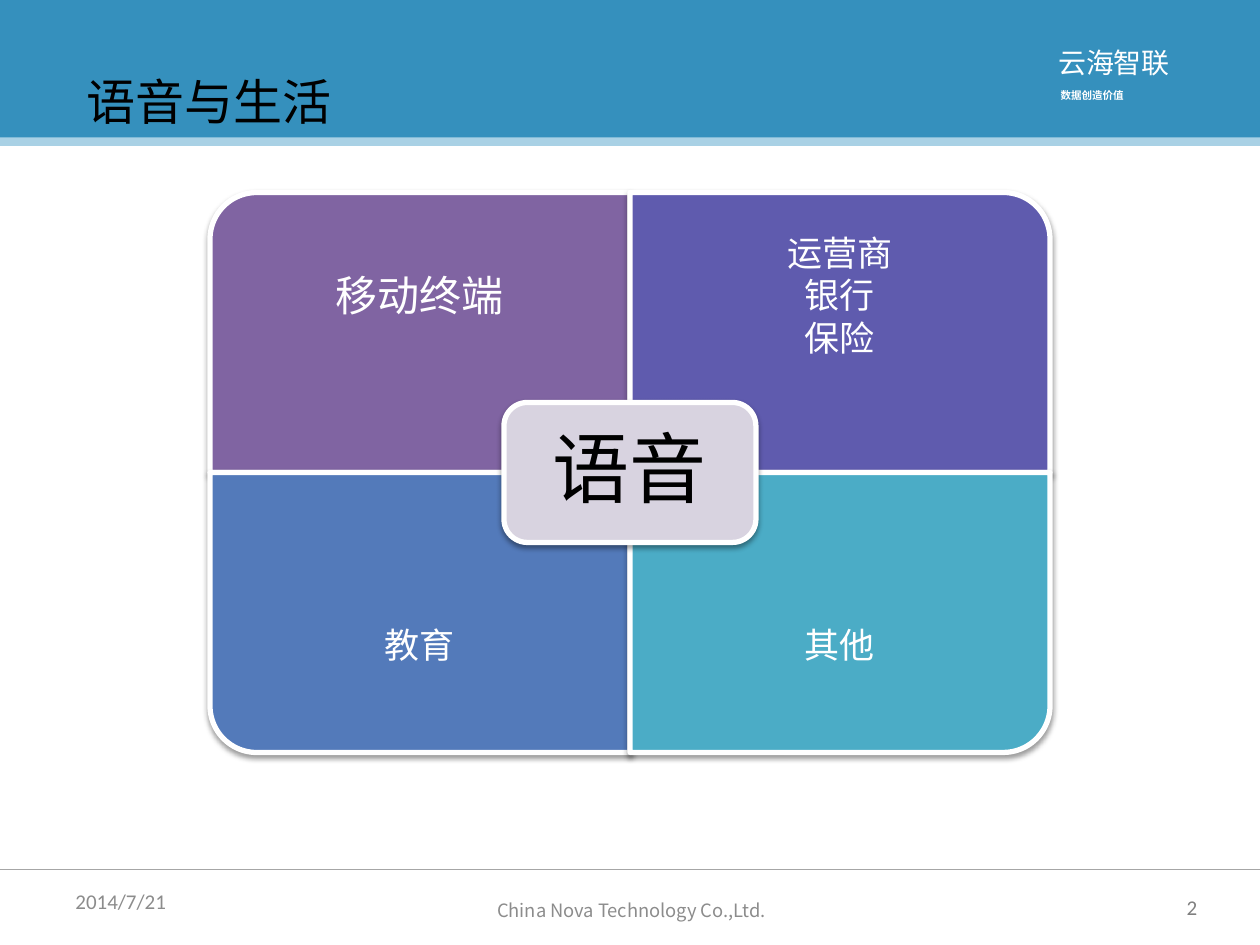
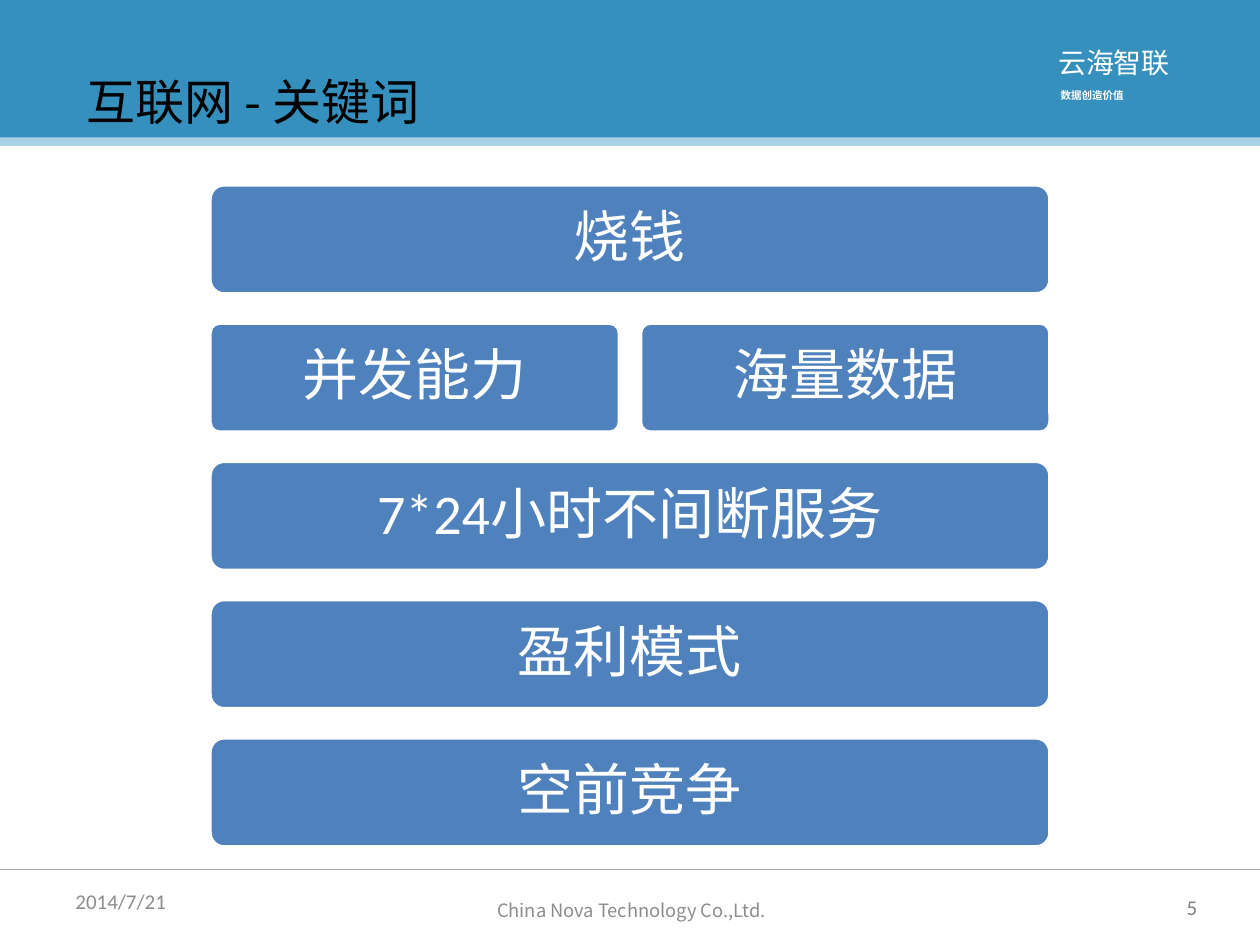
from lxml import etree
from pptx import Presentation
from pptx.dml.color import RGBColor
from pptx.enum.shapes import MSO_CONNECTOR, MSO_SHAPE
from pptx.enum.text import MSO_ANCHOR, PP_ALIGN
from pptx.oxml.ns import qn
from pptx.util import Pt

RECTANGLE = MSO_SHAPE.RECTANGLE
ROUNDED = MSO_SHAPE.ROUNDED_RECTANGLE
ONE_ROUND_CORNER = MSO_SHAPE.ROUND_1_RECTANGLE
STRAIGHT = MSO_CONNECTOR.STRAIGHT
LEFT, CENTER = PP_ALIGN.LEFT, PP_ALIGN.CENTER
TOP, MIDDLE = MSO_ANCHOR.TOP, MSO_ANCHOR.MIDDLE

WIDTH, HEIGHT = 720, 540
LATIN_FONT, CHINESE_FONT = "Calibri", "Noto Sans CJK SC"
COLORS = {
    "band": "3590BD",
    "stripe": "A9D1E5",
    "rule": "A6A6A6",
    "footer": "8C8C8C",
    "number": "808080",
    "white": "FFFFFF",
    "black": "000000",
    "purple": "8064A2",
    "indigo": "5F5BAE",
    "blue": "537ABA",
    "teal": "4BACC6",
    "hub": "D8D3E0",
    "bar": "4F81BD",
}

CONTENT_LEFT = 120
CONTENT_WIDTH = 480


def rgb(name):
    return RGBColor.from_string(COLORS[name])


def write_text(shape, text, size=12, color="white", font=LATIN_FONT, bold=False,
               align=LEFT, anchor=TOP, inset=None, wrap=True,
               line_spacing=None, space_after=None):
    """Fill a shape with text, one paragraph per line of the text."""
    frame = shape.text_frame
    frame.word_wrap = wrap
    frame.vertical_anchor = anchor
    if inset is not None:
        frame.margin_left = frame.margin_right = Pt(inset)
        frame.margin_top = frame.margin_bottom = Pt(inset)
    frame.text = text
    for paragraph in frame.paragraphs:
        paragraph.alignment = align
        if line_spacing:
            paragraph.line_spacing = line_spacing
        if space_after:
            paragraph.space_after = Pt(space_after)
        for run in paragraph.runs:
            run.font.size = Pt(size)
            run.font.bold = bold
            run.font.name = font
            run.font.color.rgb = rgb(color)
            east_asian = etree.SubElement(run.font._element, qn("a:ea"))
            east_asian.set("typeface", CHINESE_FONT)


def add_text(slide, text, left, top, width, height, **text_format):
    box = slide.shapes.add_textbox(Pt(left), Pt(top), Pt(width), Pt(height))
    write_text(box, text, **text_format)


def write_diagram_text(shape, text, size, inset):
    write_text(shape, text, size=size, inset=inset, align=CENTER, anchor=MIDDLE,
               line_spacing=0.9, space_after=2.5)


def add_panel(slide, kind, left, top, width, height, fill, line_width=0):
    panel = slide.shapes.add_shape(kind, Pt(left), Pt(top), Pt(width), Pt(height))
    panel.shadow.inherit = False
    panel.fill.solid()
    panel.fill.fore_color.rgb = rgb(fill)
    if line_width:
        panel.line.color.rgb = rgb("white")
        panel.line.width = Pt(line_width)
    else:
        panel.line.fill.background()
    return panel


def add_soft_shadow(shape):
    effects = shape._element.spPr.find(qn("a:effectLst"))
    shadow = etree.SubElement(
        effects, qn("a:outerShdw"), blurRad=str(Pt(3.1)), dist=str(Pt(1.6)),
        dir="5400000", rotWithShape="0")
    color = etree.SubElement(shadow, qn("a:srgbClr"), val=COLORS["black"])
    etree.SubElement(color, qn("a:alpha"), val="38000")


def add_rule(slide, top):
    rule = slide.shapes.add_connector(STRAIGHT, 0, Pt(top), Pt(WIDTH), Pt(top))
    rule.line.color.rgb = rgb("rule")
    rule.line.width = Pt(0.75)
    etree.SubElement(rule._element.spPr, qn("a:effectLst"))


def add_framed_slide(presentation, title, number):
    """Add a blank slide with the shared band, title and footer."""
    slide = presentation.slides.add_slide(presentation.slide_layouts[6])
    add_panel(slide, RECTANGLE, 0, 0, WIDTH, 79, "band")
    add_panel(slide, RECTANGLE, 0, 78.5, WIDTH, 5, "stripe")
    add_rule(slide, 496.8)
    add_text(slide, "云海智联", 597.6, 22.3, 83, 27, size=16, font=CHINESE_FONT)
    add_text(slide, "数据创造价值", 599, 47.5, 81, 14, size=6, bold=True,
             font=CHINESE_FONT)
    add_text(slide, "China Nova Technology Co.,Ltd.", 247, 505.5, 228, 29,
             size=10.5, color="footer", font=CHINESE_FONT, align=CENTER,
             anchor=MIDDLE)
    add_text(slide, "2014/7/21", 36, 500.4, 168, 29, color="footer", anchor=MIDDLE)
    add_text(slide, str(number), 671, 507.6, 30, 29, color="number")
    add_text(slide, title, 42.5, 37.4, 227, 41, size=28, color="black",
             font=CHINESE_FONT, wrap=False)
    return slide


def add_quadrant(slide, column, row, text, fill, rotation, size):
    """Add a quarter whose one round corner is turned to the outside."""
    width, height, label_height = 240, 160, 120
    left = CONTENT_LEFT + column * width
    top = 110 + row * height
    shape_width, shape_height = (height, width) if rotation % 180 else (width, height)
    quadrant = add_panel(
        slide, ONE_ROUND_CORNER, left + (width - shape_width) / 2,
        top + (height - shape_height) / 2, shape_width, shape_height, fill, 3)
    quadrant.rotation = rotation
    add_soft_shadow(quadrant)
    label_top = top + row * (height - label_height)
    label = slide.shapes.add_textbox(
        Pt(left), Pt(label_top), Pt(width), Pt(label_height))
    write_diagram_text(label, text, size, inset=12)


def add_voice_matrix(slide):
    add_quadrant(slide, 0, 0, "移动终端", "purple", 270, 24)
    add_quadrant(slide, 1, 0, "运营商\n银行\n保险", "indigo", 0, 20)
    add_quadrant(slide, 0, 1, "教育", "blue", 180, 20)
    add_quadrant(slide, 1, 1, "其他", "teal", 90, 20)
    hub = add_panel(slide, ROUNDED, 288, 230, 144, 80, "hub", 3)
    add_soft_shadow(hub)
    write_diagram_text(hub, "语音", 44, inset=13)
    hub.text_frame.paragraphs[0].runs[0].font.color.rgb = rgb("black")


def add_keyword_rows(slide, rows):
    top, height, pitch, gap = 105.6, 62.4, 79, 12
    for row, keywords in enumerate(rows):
        width = (CONTENT_WIDTH - gap * (len(keywords) - 1)) / len(keywords)
        for column, keyword in enumerate(keywords):
            bar = add_panel(slide, ROUNDED, CONTENT_LEFT + column * (width + gap),
                            top + row * pitch, width, height, "bar", 2)
            bar.adjustments[0] = 0.13 if len(keywords) == 1 else 0.09
            write_diagram_text(bar, keyword, 32, inset=18)


def main():
    presentation = Presentation()
    presentation.slide_width = Pt(WIDTH)
    presentation.slide_height = Pt(HEIGHT)

    add_voice_matrix(add_framed_slide(presentation, "语音与生活", 2))
    add_keyword_rows(add_framed_slide(presentation, "互联网 - 关键词", 5), [
        ["烧钱"],
        ["并发能力", "海量数据"],
        ["7*24小时不间断服务"],
        ["盈利模式"],
        ["空前竞争"],
    ])
    presentation.save("out.pptx")


if __name__ == "__main__":
    main()
